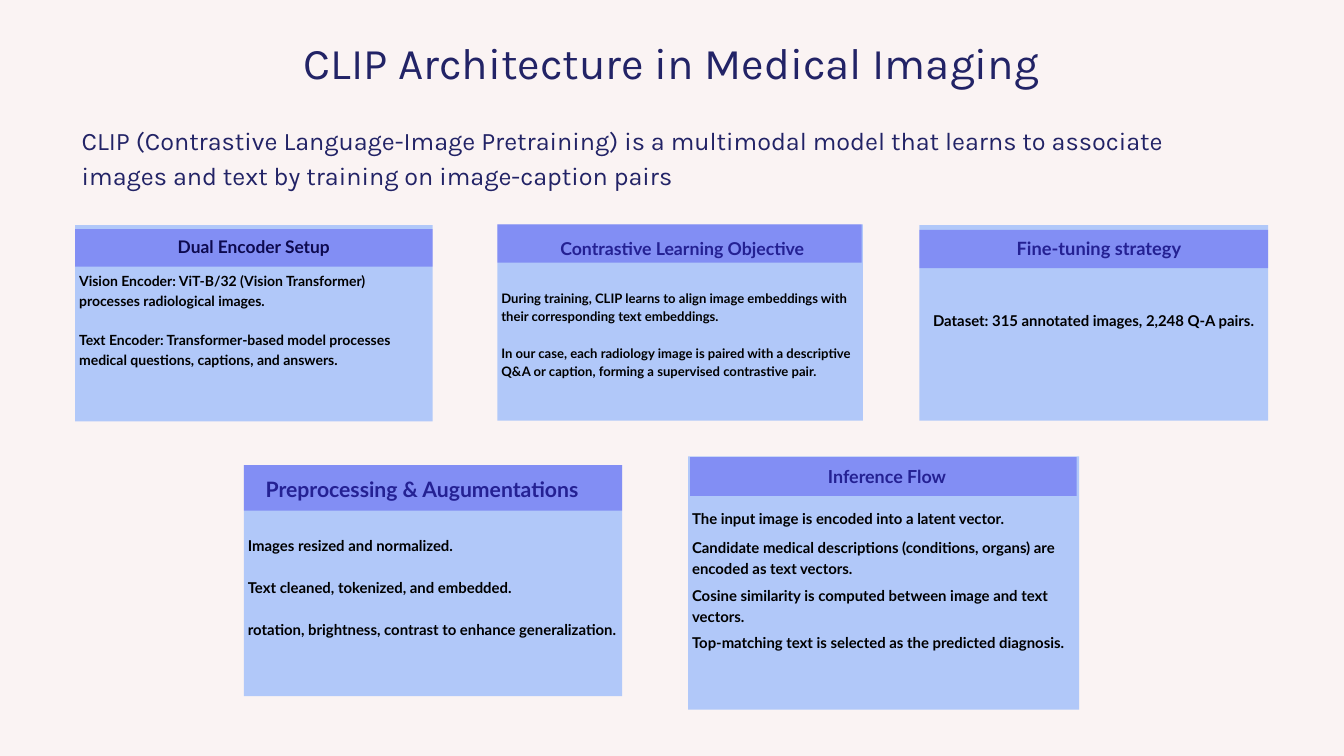
from dataclasses import dataclass
from lxml import etree
from pptx import Presentation
from pptx.dml.color import RGBColor
from pptx.enum.shapes import MSO_SHAPE as Shape
from pptx.enum.text import PP_ALIGN as Align
from pptx.oxml.ns import qn
from pptx.util import Cm, Pt

PAPER, CARD, BAND = "FAF3F3", "B1C8F9", "291EEB"
NAVY, BLACK = "222366", "000000"
BAND_ALPHA = 34
PADDING = 0.15


@dataclass
class Box:
    left: float
    top: float
    width: float
    height: float

    def inner(self, left, top, width, height):
        return Box(self.left + left, self.top + top, width, height)

    def lengths(self):
        return [Cm(value) for value in (self.left, self.top, self.width, self.height)]


def color(value):
    return RGBColor.from_string(value)


def add_block(slide, box, fill, alpha=None):
    shape = slide.shapes.add_shape(Shape.RECTANGLE, *box.lengths())
    shape.shadow.inherit = False
    shape.line.fill.background()
    shape.fill.solid()
    shape.fill.fore_color.rgb = color(fill)
    if alpha is not None:
        fill_color = shape._element.spPr.find(qn("a:solidFill"))[0]
        etree.SubElement(fill_color, qn("a:alpha"), val=str(alpha * 1000))


def add_text(slide, box, lines, font, line_height, align=Align.LEFT, gaps=(), padding=0):
    frame = slide.shapes.add_textbox(*box.lengths()).text_frame
    margins = {"margin_left": padding, "margin_right": padding, "margin_top": 0, "margin_bottom": 0}
    for name, value in margins.items():
        setattr(frame, name, Cm(value))
    frame.word_wrap = True
    for index, line in enumerate(lines):
        paragraph = frame.paragraphs[0] if index == 0 else frame.add_paragraph()
        paragraph.text = line
        paragraph.alignment = align
        paragraph.line_spacing = Pt(line_height)
        if index and gaps:
            paragraph.space_before = Pt(gaps[index - 1])
        for name, value in font.items():
            if name == "color":
                paragraph.font.color.rgb = color(value)
            else:
                setattr(paragraph.font, name, value)


def add_heading(slide, box):
    font = {"name": "Karla", "color": NAVY}
    add_text(slide, box.inner(0, 0, box.width, 2.34), ["CLIP Architecture in Medical Imaging"],
             font | {"size": Pt(47)}, 65.8, Align.CENTER)
    add_text(slide, box.inner(0, 3.53, box.width, 2.62), [
        "CLIP (Contrastive Language-Image Pretraining) is a multimodal model that learns to associate",
        "images and text by training on image-caption pairs",
    ], font | {"size": Pt(27)}, 37.8, padding=0.25)


def add_card(slide, box, title, title_size, title_at, band, lines, size, body_top,
             gaps=(), align=Align.LEFT, title_color=NAVY):
    font = {"name": "Lato", "bold": True}
    add_block(slide, box, CARD)
    add_text(slide, box.inner(0, body_top, box.width, box.height - body_top), lines,
             font | {"size": Pt(size), "color": BLACK}, 1.4 * size, align, gaps, PADDING)
    shift, top = title_at
    add_text(slide, box.inner(shift, top, box.width, 0.9), [title],
             font | {"size": Pt(title_size), "color": title_color}, 1.4 * title_size, Align.CENTER)
    add_block(slide, box.inner(*band), BAND, BAND_ALPHA)


CARDS = [
    dict(box=Box(2.84, 8.51, 13.51, 7.42), title="Dual Encoder Setup", title_size=18.6,
         title_at=(0, 0.3), title_color=BLACK, band=(0, 0.15, 13.51, 1.42),
         size=15, body_top=1.7, gaps=[21],
         lines=["Vision Encoder: ViT-B/32 (Vision Transformer) processes radiological images.",
                "Text Encoder: Transformer-based model processes medical questions, captions, and answers."]),
    dict(box=Box(18.8, 8.48, 13.82, 7.42), title="Contrastive Learning Objective", title_size=19,
         title_at=(0.08, 0.36), band=(0, 0, 13.77, 1.45),
         size=14, body_top=2.39, gaps=[19.6],
         lines=["During training, CLIP learns to align image embeddings with their corresponding text embeddings.",
                "In our case, each radiology image is paired with a descriptive Q&A or caption, "
                "forming a supervised contrastive pair."]),
    dict(box=Box(34.75, 8.51, 13.18, 7.39), title="Fine-tuning strategy", title_size=19.6,
         title_at=(0.2, 0.33), band=(0, 0.18, 13.18, 1.45),
         size=16, body_top=3.15, align=Align.CENTER,
         lines=["Dataset: 315 annotated images, 2,248 Q-A pairs."]),
    dict(box=Box(9.22, 17.58, 14.3, 8.74), title="Preprocessing & Augumentations", title_size=22.7,
         title_at=(-0.42, 0.28), band=(0, 0, 14.3, 1.73),
         size=16, body_top=2.61, gaps=[22.4, 22.4],
         lines=["Images resized and normalized.",
                "Text cleaned, tokenized, and embedded.",
                "rotation, brightness, contrast to enhance generalization."]),
    dict(box=Box(26.01, 17.25, 14.78, 9.58), title="Inference Flow", title_size=19.2,
         title_at=(0.13, 0.2), band=(0.08, 0.03, 14.61, 1.47),
         size=16, body_top=1.9, gaps=[8.4, 7, 5.6],
         lines=["The input image is encoded into a latent vector.",
                "Candidate medical descriptions (conditions, organs) are encoded as text vectors.",
                "Cosine similarity is computed between image and text vectors.",
                "Top-matching text is selected as the predicted diagnosis."]),
]


def main():
    presentation = Presentation()
    presentation.slide_width, presentation.slide_height = Cm(50.8), Cm(28.58)
    slide = presentation.slides.add_slide(presentation.slide_layouts[6])
    slide.background.fill.solid()
    slide.background.fill.fore_color.rgb = color(PAPER)
    for card in CARDS:
        add_card(slide, **card)
    add_heading(slide, Box(2.84, 1.02, 45.12, 6.15))
    presentation.save("out.pptx")


if __name__ == "__main__":
    main()
